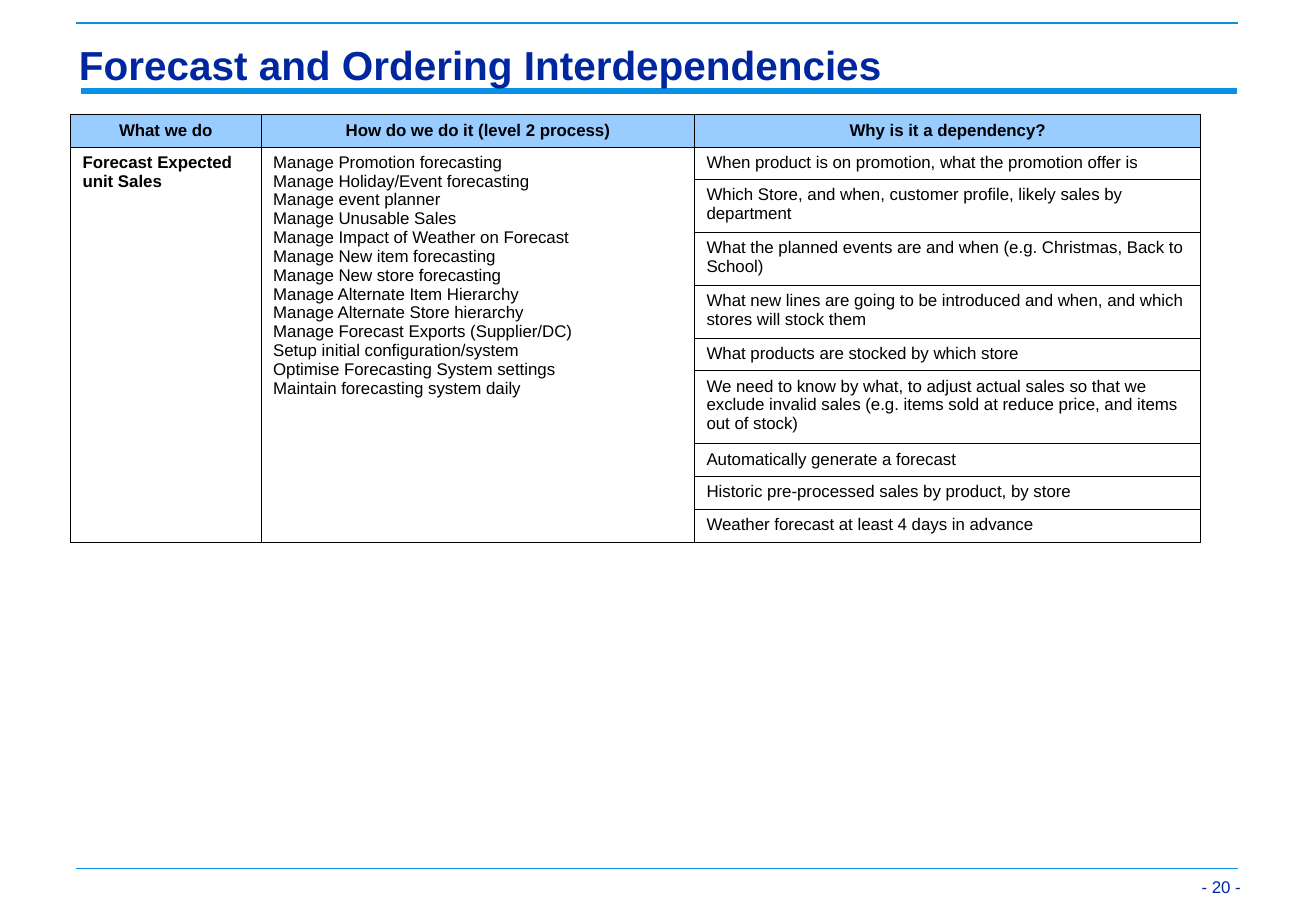
from dataclasses import dataclass

from lxml import etree
from pptx import Presentation
from pptx import util as u
from pptx.dml.color import RGBColor
from pptx.enum import shapes, text
from pptx.oxml.ns import qn


@dataclass(frozen=True)
class Theme:
    font: str = "Arial"
    navy: str = "00279F"
    sky: str = "0A91E6"
    pale: str = "99CCFF"
    black: str = "000000"
    title_size: float = 24
    body_size: float = 10
    border: float = 0.45


THEME = Theme()
SLIDE_W, SLIDE_H = u.Inches(10.84), u.Inches(7.5)

HEADINGS = ["What we do", "How do we do it (level 2 process)", "Why is it a dependency?"]
COLUMN_WEIGHTS = [1.57, 3.57, 4.17]
ACTIVITY = "Forecast Expected unit Sales"
PROCESSES = [
    "Manage Promotion forecasting",
    "Manage Holiday/Event forecasting",
    "Manage event planner",
    "Manage Unusable Sales",
    "Manage Impact of Weather on Forecast",
    "Manage New item forecasting",
    "Manage New store forecasting",
    "Manage Alternate Item Hierarchy",
    "Manage Alternate Store hierarchy",
    "Manage Forecast Exports (Supplier/DC)",
    "Setup initial configuration/system",
    "Optimise Forecasting System settings",
    "Maintain forecasting system daily",
]
# Each reason with the number of lines it fills
DEPENDENCIES = [
    ("When product is on promotion, what the promotion offer is", 1),
    ("Which Store, and when, customer profile, likely sales by department", 2),
    ("What the planned events are and when (e.g. Christmas, Back to School)", 2),
    ("What new lines are going to be introduced and when, and which stores will stock them", 2),
    ("What products are stocked by which store", 1),
    ("We need to know by what, to adjust actual sales so that we exclude invalid sales "
     "(e.g. items sold at reduce price, and items out of stock)", 3),
    ("Automatically generate a forecast", 1),
    ("Historic pre-processed sales by product, by store", 1),
    ("Weather forecast at least 4 days in advance", 1),
]


def across(columns):
    """Length of so many hundredths of the slide's width."""
    return round(SLIDE_W * columns / 100)


def down(rows):
    """Length of so many hundredths of the slide's height."""
    return round(SLIDE_H * rows / 100)


def grid_box(left, top, width, height):
    return across(left), down(top), across(width), down(height)


def write(frame, lines, size, color, bold=False, align=text.PP_ALIGN.LEFT):
    for index, line in enumerate(lines):
        paragraph = frame.paragraphs[0] if index == 0 else frame.add_paragraph()
        paragraph.text = line
        paragraph.alignment = align
        formats = {"name": THEME.font, "size": u.Pt(size), "bold": bold}
        for name, value in formats.items():
            setattr(paragraph.font, name, value)
        paragraph.font.color.rgb = RGBColor.from_string(color)


def add_label(slide, box, label, size, **style):
    frame = slide.shapes.add_textbox(*box).text_frame
    formats = {
        "word_wrap": True,
        "vertical_anchor": text.MSO_ANCHOR.BOTTOM,
        "margin_left": u.Inches(0.07),
        "margin_right": u.Inches(0.07),
        "margin_top": u.Inches(0.03),
        "margin_bottom": u.Inches(0.03),
    }
    for name, value in formats.items():
        setattr(frame, name, value)
    write(frame, [label], size, THEME.navy, **style)
    return frame


def add_rule(slide, left, right, row, color, weight):
    rule = slide.shapes.add_connector(
        shapes.MSO_CONNECTOR.STRAIGHT, across(left), down(row), across(right), down(row))
    rule.line.color.rgb = RGBColor.from_string(color)
    rule.line.width = u.Pt(weight)
    etree.SubElement(rule._element.spPr, qn("a:effectLst"))


def add_rules(slide):
    add_rule(slide, 6.18, 94, 10, THEME.sky, 4)
    for row, color in [(2.53, THEME.black), (2.53, THEME.sky), (95.33, THEME.sky)]:
        add_rule(slide, 5.81, 94.1, row, color, 1)


def add_borders(cell):
    properties = cell._tc.get_or_add_tcPr()
    for index, side in enumerate(("a:lnL", "a:lnR", "a:lnT", "a:lnB")):
        line = etree.Element(qn(side), w=str(u.Pt(THEME.border)))
        fill = etree.SubElement(line, qn("a:solidFill"))
        etree.SubElement(fill, qn("a:srgbClr"), val=THEME.black)
        properties.insert(index, line)


def fill_cell(cell, lines, heading=False, bold=False):
    cell.vertical_anchor = text.MSO_ANCHOR.MIDDLE if heading else text.MSO_ANCHOR.TOP
    align = text.PP_ALIGN.CENTER if heading else text.PP_ALIGN.LEFT
    write(cell.text_frame, lines, THEME.body_size, THEME.black, bold or heading, align)


def add_dependency_table(slide, box):
    line_counts = [1] + [count for _, count in DEPENDENCIES]
    table = slide.shapes.add_table(len(line_counts), len(HEADINGS), *box).table
    table.first_row = table.horz_banding = False
    for column, weight in zip(table.columns, COLUMN_WEIGHTS):
        column.width = round(box[2] * weight / sum(COLUMN_WEIGHTS))
    for row, count in zip(table.rows, line_counts):
        row.height = down(3.6 + 2.2 * (count - 1))

    for cell in table.iter_cells():
        cell.fill.background()
        add_borders(cell)
    for column, heading in enumerate(HEADINGS):
        cell = table.cell(0, column)
        cell.fill.solid()
        cell.fill.fore_color.rgb = RGBColor.from_string(THEME.pale)
        fill_cell(cell, [heading], heading=True)

    for column, lines in enumerate([[ACTIVITY], PROCESSES]):
        cell = table.cell(1, column)
        cell.merge(table.cell(len(DEPENDENCIES), column))
        fill_cell(cell, lines, bold=column == 0)
    for row, (reason, _) in enumerate(DEPENDENCIES, start=1):
        fill_cell(table.cell(row, 2), [reason])


def add_interdependencies_slide(deck):
    slide = deck.slides.add_slide(deck.slide_layouts[6])
    add_rules(slide)
    add_label(slide, grid_box(89.39, 93.6, 5.54, 5.2), "- 20 -", THEME.body_size,
              align=text.PP_ALIGN.RIGHT)
    title = add_label(slide, grid_box(5.35, 4.4, 88.84, 5.87),
                      "Forecast and Ordering Interdependencies", THEME.title_size, bold=True)
    title.paragraphs[0].line_spacing = 0.97
    add_dependency_table(slide, grid_box(5.35, 12.53, 85.89, 47))


def main():
    deck = Presentation()
    deck.slide_width, deck.slide_height = SLIDE_W, SLIDE_H
    add_interdependencies_slide(deck)
    deck.save("out.pptx")


if __name__ == "__main__":
    main()
